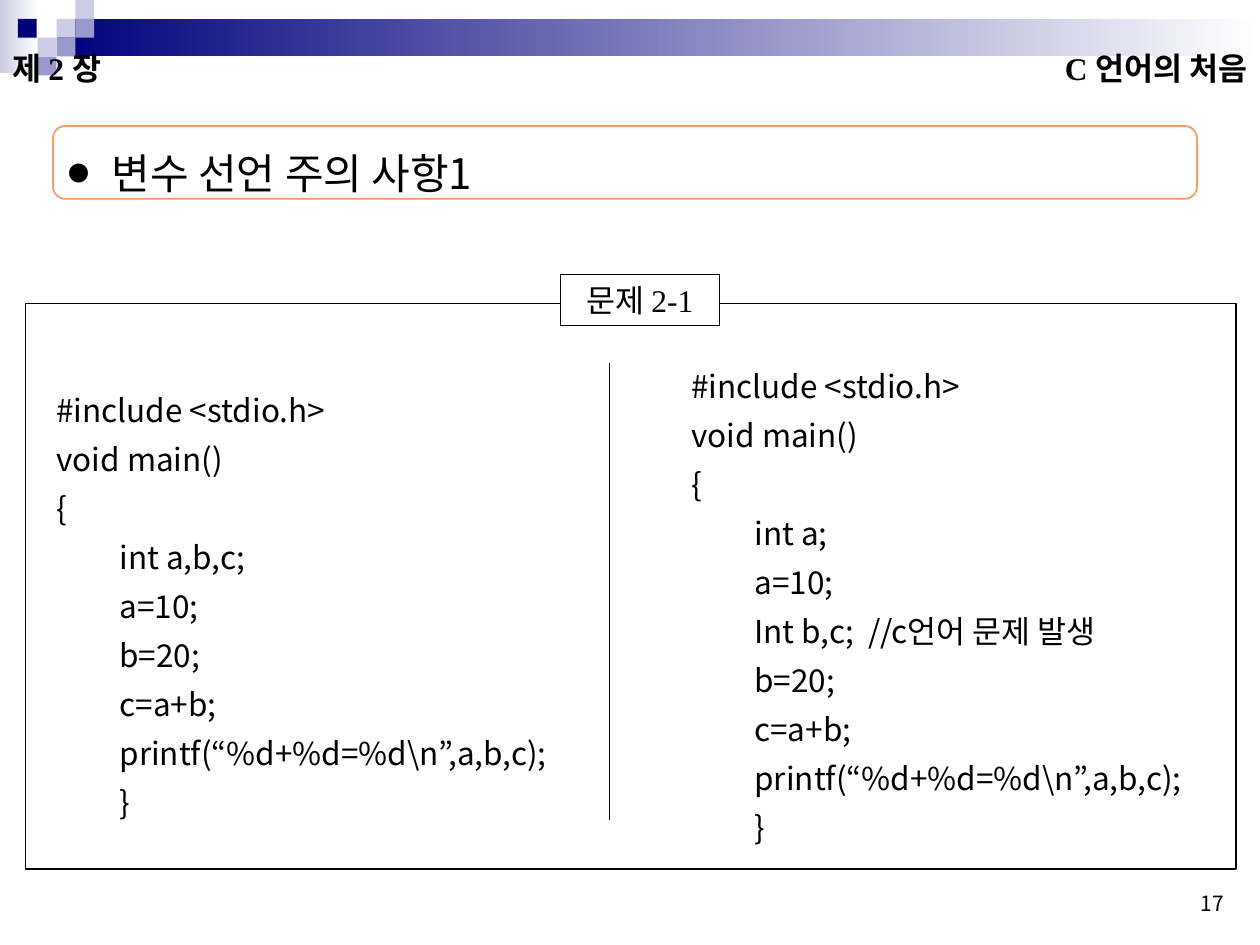
"""Build the lecture slide on the order of variable declarations in C."""
from lxml.etree import SubElement
from pptx import Presentation
from pptx.dml.color import RGBColor
from pptx.enum.shapes import MSO_CONNECTOR as Link, MSO_SHAPE as Form
from pptx.enum.text import MSO_ANCHOR as Anchor, PP_ALIGN as Align
from pptx.oxml.ns import qn
from pptx.util import Cm, Pt

BLACK = RGBColor(0x00, 0x00, 0x00)
WHITE = RGBColor(0xFF, 0xFF, 0xFF)
NAVY = RGBColor(0x00, 0x00, 0x7D)
PALE = RGBColor(0xCC, 0xCC, 0xE6)
LILAC = RGBColor(0x99, 0x99, 0xCC)
ORANGE = RGBColor(0xFF, 0x99, 0x66)
SANS = "Noto Sans CJK KR"
SERIF = "Times New Roman"


def add_box(form, place, fill=None, line=None, width=0.75):
    box = page.shapes.add_shape(form, *[Cm(length) for length in place])
    box.shadow.inherit = False
    if fill is None:
        box.fill.background()
    else:
        box.fill.solid()
        box.fill.fore_color.rgb = fill
    if line is None:
        box.line.fill.background()
    else:
        box.line.color.rgb = line
        box.line.width = Pt(width)
    return box


def write(box, lines, font, paragraph=None, anchor=Anchor.MIDDLE):
    frame = box.text_frame
    frame.word_wrap = True
    frame.vertical_anchor = anchor
    for index, text in enumerate(lines):
        para = frame.paragraphs[0] if index == 0 else frame.add_paragraph()
        for name, value in {"alignment": Align.LEFT, **(paragraph or {})}.items():
            setattr(para, name, value)
        span = para.add_run()
        span.text = text
        span.font.color.rgb = BLACK
        for name, value in font.items():
            setattr(span.font, name, value)
        SubElement(span.font._element, qn("a:ea"), typeface=SANS)
    return frame.paragraphs


deck = Presentation()
deck.slide_width, deck.slide_height = Cm(25.4), Cm(19.05)
page = deck.slides.add_slide(deck.slide_layouts[6])

for place, start in (((0, 0, 0.79, 1.47), PALE), ((1.14, 0.38, 24.26, 0.76), NAVY)):
    band = add_box(Form.RECTANGLE, place)
    band.fill.gradient()
    band.fill.gradient_angle = 0
    for stop, color in zip(band.fill.gradient_stops, (start, WHITE)):
        stop.color.rgb = color

TILE = 0.38
tiles = (
    (3, 1, PALE), (4, 0, PALE), (4, 1, LILAC), (2, 2, PALE),
    (0.95, 1, NAVY), (3, 2, LILAC), (2, 3, LILAC),
)
for column, row, color in tiles:
    add_box(Form.RECTANGLE, (column * TILE, row * TILE, TILE, TILE), color)

add_box(Form.RECTANGLE, (0.51, 6.12, 24.41, 11.4), line=BLACK)

labels = (
    ("17", (17.91, 17.32, 7.01, 1.27), Align.RIGHT, Anchor.BOTTOM,
     {"size": Pt(12), "name": SANS}),
    ("C 언어의 처음", (16.51, 0.64, 8.89, 1.47), Align.RIGHT, Anchor.MIDDLE,
     {"size": Pt(18), "name": SERIF, "bold": True}),
    ("제 2 장", (0, 0.64, 5.51, 1.47), Align.LEFT, Anchor.MIDDLE,
     {"size": Pt(18), "name": SERIF, "bold": True}),
)
for text, place, alignment, anchor, font in labels:
    box = page.shapes.add_textbox(*[Cm(length) for length in place])
    write(box, [text], font, {"alignment": alignment}, anchor)

heading = add_box(Form.ROUNDED_RECTANGLE, (1.07, 2.54, 23.06, 1.47), line=ORANGE, width=1)
heading.text_frame.margin_top = heading.text_frame.margin_bottom = 0
para = write(heading, ["변수 선언 주의 사항1"], {"size": Pt(24), "name": SANS},
             {"line_spacing": Pt(40)})[0]
props = para._p.get_or_add_pPr()
props.set("marL", str(Cm(0.86)))
props.set("indent", str(Cm(-0.86)))
SubElement(SubElement(props, qn("a:buClr")), qn("a:srgbClr"), val=str(BLACK))
SubElement(props, qn("a:buSzPct"), val="50000")
SubElement(props, qn("a:buFont"), typeface=SANS)
SubElement(props, qn("a:buChar"), char="●")

badge = add_box(Form.RECTANGLE, (11.3, 5.54, 3.2, 1.02), WHITE, BLACK)
write(badge, ["문제 2-1"], {"size": Pt(18), "name": SERIF}, {"alignment": Align.CENTER})

opening = ["#include <stdio.h>", "void main()", "{"]
closing = ["b=20;", "c=a+b;", "printf(“%d+%d=%d\\n”,a,b,c);", "}"]
listings = (
    ((0.89, 7.52, 11, 9.17), ["int a,b,c;", "a=10;"]),
    ((13.69, 7.04, 11, 10.16), ["int a;", "a=10;", "Int b,c;  //c언어 문제 발생"]),
)
for place, middle in listings:
    box = page.shapes.add_textbox(*[Cm(length) for length in place])
    paras = write(box, opening + middle + closing, {"size": Pt(18), "name": SANS},
                  {"line_spacing": Pt(28)})
    for para in paras[len(opening):]:
        para._p.get_or_add_pPr().set("marL", str(Cm(1.27)))

divider = page.shapes.add_connector(Link.STRAIGHT, Cm(12.29), Cm(7.32), Cm(12.29), Cm(16.54))
divider.line.color.rgb = BLACK
divider.line.width = Pt(0.75)
SubElement(divider._element.spPr, qn("a:effectLst"))

deck.save("out.pptx")
